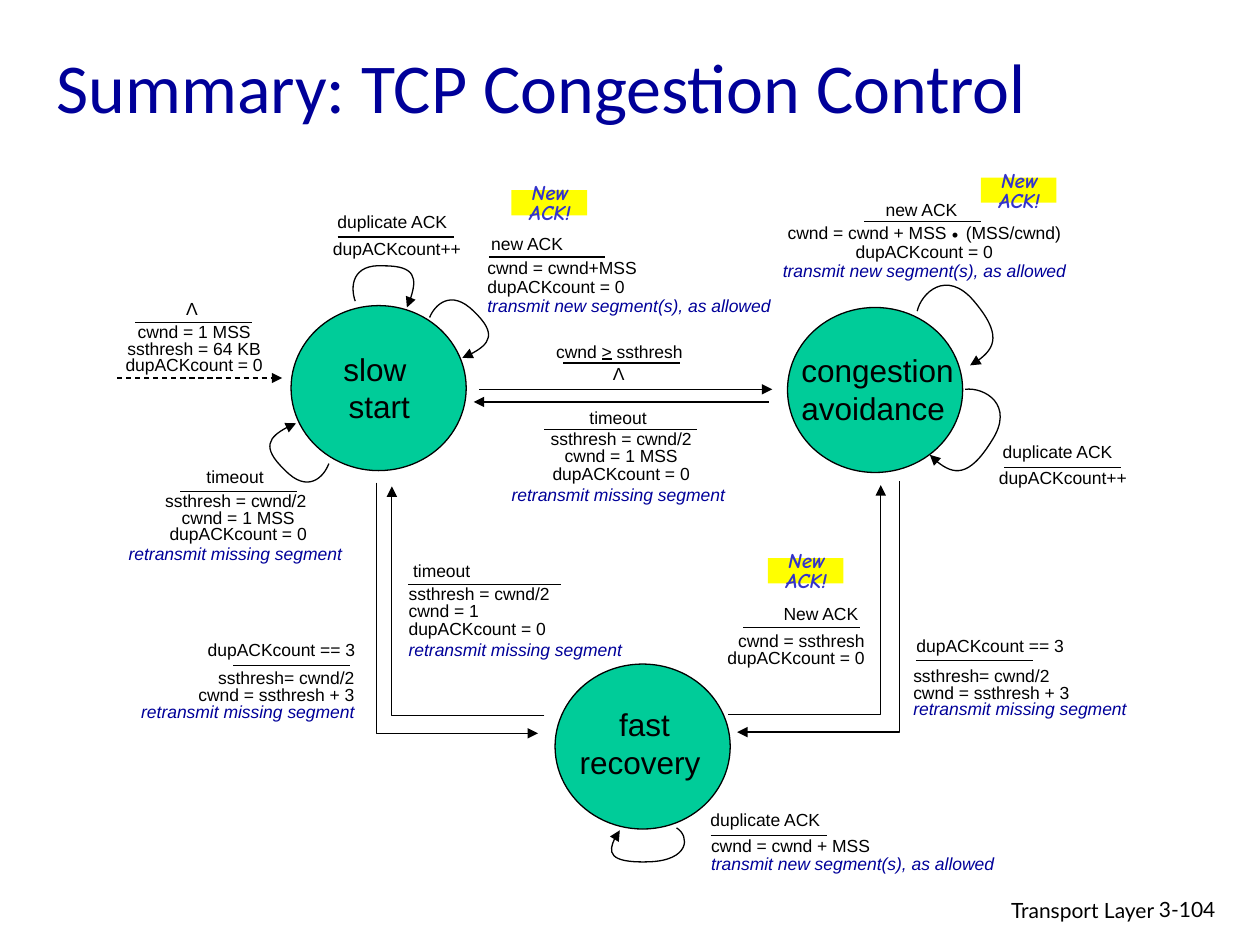
from lxml.etree import SubElement
from pptx import Presentation
from pptx.dml.color import RGBColor
from pptx.enum.dml import MSO_LINE
from pptx.enum.shapes import MSO_CONNECTOR, MSO_SHAPE
from pptx.enum.text import MSO_ANCHOR, MSO_AUTO_SIZE, PP_ALIGN
from pptx.oxml.ns import qn
from pptx.util import Inches, Pt

THEME = {
    "ink": RGBColor.from_string("000000"),
    "navy": RGBColor.from_string("000099"),
    "state": RGBColor.from_string("00CC99"),
    "flag": RGBColor.from_string("FFFF00"),
    "flag_text": RGBColor.from_string("3333CC"),
    "label": 10,
    "footer": 12,
    "state_size": 18,
    "dot": 24,
    "title": 40,
    "stroke": Pt(0.75),
}
LEFT, CENTER, RIGHT = PP_ALIGN.LEFT, PP_ALIGN.CENTER, PP_ALIGN.RIGHT

deck = Presentation()
deck.slide_width = Inches(10)
deck.slide_height = Inches(7.5)
COLUMN = deck.slide_width / 100
ROW = deck.slide_height / 75
page = deck.slides.add_slide(deck.slide_layouts[6])


def add_text(text, left, top, width, height, size=THEME["label"], font="Arial",
             color=THEME["ink"], align=LEFT, spacing=None, bold=None, italic=None,
             wrap=False, anchor=MSO_ANCHOR.TOP):
    box = page.shapes.add_textbox(int(left * COLUMN), int(top * ROW),
                                  int(width * COLUMN), int(height * ROW))
    frame = box.text_frame
    frame.word_wrap = wrap
    frame.auto_size = MSO_AUTO_SIZE.NONE if wrap else MSO_AUTO_SIZE.SHAPE_TO_FIT_TEXT
    frame.vertical_anchor = anchor
    for index, line in enumerate(text.split("\n")):
        para = frame.add_paragraph() if index else frame.paragraphs[0]
        para.alignment = align
        para.line_spacing = spacing
        sends = "transmit" in line
        pieces = [(line.rstrip() if sends else line, size, sends)]
        if sends and line.endswith(" "):
            pieces.append((" ", size + 2, False))
        for piece, piece_size, marked in pieces:
            span = para.add_run()
            span.text = piece
            span.font.name = font
            span.font.size = Pt(piece_size)
            span.font.bold = bold
            span.font.italic = True if marked else italic
            span.font.color.rgb = THEME["navy"] if marked else color
    return box


def style_stroke(shape, arrow=False, dashed=False):
    shape.line.color.rgb = THEME["ink"]
    shape.line.width = THEME["stroke"]
    if dashed:
        shape.line.dash_style = MSO_LINE.DASH
    properties = shape._element.spPr
    if arrow:
        SubElement(properties.find(qn("a:ln")), qn("a:tailEnd"), type="triangle")
    SubElement(properties, qn("a:effectLst"))


add_text("Summary: TCP Congestion Control", 3.5, 2.05, 85, 9.4, size=THEME["title"],
         font="Calibri", color=THEME["navy"], wrap=True, anchor=MSO_ANCHOR.MIDDLE)
add_text("Transport Layer", 60.9, 70.7, 31.7, 3.1, size=THEME["footer"], font="Lato",
         align=RIGHT, wrap=True)
add_text("3-104", 91, 70.7, 7.4, 3, size=THEME["footer"], font="Lato", wrap=True)

states = [
    ("slow \nstart", 23.1, 24.25, 26.25, 27.25, 7.7),
    ("congestion\navoidance ", 62.5, 24.4, 62.6, 27.35, 14.1),
    ("fast\nrecovery ", 44.05, 52.7, 45, 55.5, 12.3),
]
for name, left, top, text_left, text_top, text_width in states:
    circle = page.shapes.add_shape(MSO_SHAPE.OVAL, int(left * COLUMN), int(top * ROW),
                                   int(13.9 * COLUMN), int(13.1 * ROW))
    circle.fill.solid()
    circle.fill.fore_color.rgb = THEME["state"]
    style_stroke(circle)
    add_text(name, text_left, text_top, text_width, 7, size=THEME["state_size"], align=CENTER)

event_widths = {"duplicate ACK": 10.9, "timeout": 6.8, "new ACK": 7.9, "New ACK": 8,
                "dupACKcount == 3": 13.8, "cwnd > ssthresh": 12.1, "Λ": 3}
SHORT, LONG = 9.25, 12.1
transitions = [
    ("Λ", 13.8, 23.15, 10.75, 25.6, SHORT,
     "cwnd = 1 MSS\nssthresh = 64 KB\ndupACKcount = 0", 8.95, 25.3, 12.9, 5, CENTER, 0.8),
    ("duplicate ACK", 25.8, 16.25, 26.8, 18.8, SHORT,
     "dupACKcount++", 25.4, 18.7, 12.2, 3.9, CENTER, 0.8),
    ("new ACK", 38, 18, 38.8, 20.4, SHORT,
     "cwnd = cwnd+MSS\ndupACKcount = 0\ntransmit new segment(s), as allowed",
     37.7, 20.1, 24.5, 7.1, LEFT, 0.9),
    ("timeout", 15.4, 36.5, 14.3, 39, SHORT,
     "ssthresh = cwnd/2 \ncwnd = 1 MSS\ndupACKcount = 0\nretransmit missing segment ",
     9.2, 38.7, 19.4, 6.6, CENTER, 0.8),
    ("cwnd > ssthresh", 43.15, 26.6, 44.7, 28.8, SHORT,
     "Λ", 47.6, 28.65, 3, 2.3, CENTER, 0.8),
    ("timeout", 45.8, 31.8, 43.2, 34.1, LONG,
     "ssthresh = cwnd/2\ncwnd = 1 MSS\ndupACKcount = 0\nretransmit missing segment ",
     39.6, 33.7, 19.4, 7, CENTER, 0.85),
    ("new ACK", 69.3, 15.3, 68.6, 17.6, SHORT,
     "cwnd = cwnd + MSS (MSS/cwnd)\ndupACKcount = 0\ntransmit new segment(s), as allowed",
     61.1, 17.3, 24.5, 7.1, CENTER, 0.9),
    ("duplicate ACK", 78.6, 34.5, 79.7, 37.1, SHORT,
     "dupACKcount++", 78.25, 36.9, 12.2, 3.9, CENTER, 0.8),
    ("dupACKcount == 3", 15.5, 50.25, 18.5, 52.8, SHORT,
     "ssthresh= cwnd/2\ncwnd = ssthresh + 3\nretransmit missing segment",
     10.2, 52.8, 18.9, 6.6, RIGHT, 0.8),
    ("timeout", 31.8, 43.95, 32.4, 46.4, LONG,
     "ssthresh = cwnd/2\ncwnd = 1\ndupACKcount = 0\nretransmit missing segment ",
     31.45, 46, 19.4, 7, LEFT, 0.85),
    ("New ACK", 61.1, 47.35, 59, 49.8, SHORT,
     "cwnd = ssthresh\ndupACKcount = 0", 56.7, 49.85, 12.9, 6.6, RIGHT, 0.8),
    ("dupACKcount == 3", 71.75, 49.9, 72.7, 52.4, SHORT,
     "ssthresh= cwnd/2\ncwnd = ssthresh + 3\nretransmit missing segment",
     71.5, 52.6, 18.9, 6.6, LEFT, 0.8),
    ("duplicate ACK", 55.4, 63.7, 56.4, 66.3, SHORT,
     "cwnd = cwnd + MSS\ntransmit new segment(s), as allowed",
     55.45, 66.05, 24.5, 5.5, LEFT, 0.85),
]
strokes = [
    (9.3, 30, 22.4, 30, True, True),
    (38, 30.9, 61.3, 30.9, True, False),
    (61, 31.9, 37.6, 31.9, True, False),
    (47.8, 28.5, 48.6, 28.5, False, False),
]
for (event, left, top, rule_left, rule_top, rule_length,
     actions, actions_left, actions_top, width, height, align, spacing) in transitions:
    add_text(event, left, top, event_widths[event], 2.7,
             align=RIGHT if event == "New ACK" else LEFT)
    box = add_text(actions, actions_left, actions_top, width, height,
                   align=align, spacing=spacing)
    if "MSS (" in actions:
        para = box.text_frame.paragraphs[0]
        before, after = para.runs[0].text.split(" (")
        para.runs[0].text = before
        for piece, tracking in ((" ", "834"), ("(" + after, "0")):
            span = para.add_run()
            span.text = piece
            span.font.name = "Arial"
            span.font.size = Pt(THEME["label"])
            span.font.color.rgb = THEME["ink"]
            span.font._element.set("spc", tracking)
    strokes.append((rule_left, rule_top, rule_left + rule_length, rule_top, False, False))
add_text(".", 74.4, 15, 2.8, 5, size=THEME["dot"], font="Times New Roman")

for start_x, start_y, end_x, end_y, arrow, dashed in strokes:
    stroke = page.shapes.add_connector(MSO_CONNECTOR.STRAIGHT,
                                       int(start_x * COLUMN), int(start_y * ROW),
                                       int(end_x * COLUMN), int(end_y * ROW))
    style_stroke(stroke, arrow, dashed)

elbows = [
    [(29.9, 38.3), (29.9, 58.2), (42.7, 58.2)],
    [(43.2, 56.8), (31.1, 56.8), (31.1, 38.6)],
    [(71.4, 38.2), (71.4, 58.1), (58.5, 58.1)],
    [(57.8, 56.7), (69.9, 56.7), (69.9, 38.5)],
]
loops = [
    [(28.2, 23.9), (27.8, 22.8), (27.9, 20.9), (30.5, 21.1), (33, 21.1), (33.2, 22.4), (32.3, 24.4)],
    [(34.1, 25.2), (34.5, 24.2), (35.8, 22.9), (37.6, 24.7), (39.5, 26.5), (38.7, 27.6), (36.7, 28.4)],
    [(26.1, 36.8), (25.7, 37.9), (24.4, 39.2), (22.6, 37.3), (20.7, 35.5), (21.5, 34.4), (23.5, 33.6)],
    [(72.8, 24.7), (73.1, 23.3), (75.1, 21.3), (77.3, 23.9), (79.5, 26.5), (78.9, 28), (77, 29)],
    [(76.6, 30.9), (78.1, 30.7), (80.6, 32.1), (78.7, 35), (76.9, 37.9), (75.3, 37.7), (73.8, 36.1)],
    [(53.7, 65.7), (54.8, 66.4), (54.7, 68.3), (51.5, 68.4), (48.2, 68.5), (48.2, 67.2), (49.2, 65.9)],
]
for points in elbows + loops:
    corners = [(int(x * COLUMN), int(y * ROW)) for x, y in points]
    builder = page.shapes.build_freeform(*corners[0])
    builder.add_line_segments(corners[1:], close=False)
    arc = builder.convert_to_shape()
    arc.fill.background()
    style_stroke(arc, arrow=True)
    if points in loops:
        outline = arc._element.find(".//" + qn("a:path"))
        segments = outline.findall(qn("a:lnTo"))
        for first in range(0, len(segments), 3):
            curve = SubElement(outline, qn("a:cubicBezTo"))
            for segment in segments[first:first + 3]:
                curve.append(segment[0])
                outline.remove(segment)

for left, top in [(60.95, 44.3), (40.6, 15.1), (77.85, 14.1)]:
    flag = page.shapes.add_shape(MSO_SHAPE.RECTANGLE, int(left * COLUMN), int(top * ROW),
                                 int(6 * COLUMN), int(2 * ROW))
    flag.fill.solid()
    flag.fill.fore_color.rgb = THEME["flag"]
    flag.line.fill.background()
    flag.shadow.inherit = False
    add_text("New\nACK!", left - 0.4, top - 0.95, 6.9, 4.2, size=THEME["footer"],
             font="Comic Neue", color=THEME["flag_text"], align=CENTER, spacing=0.8,
             bold=True, italic=True, wrap=True)

deck.save("out.pptx")
